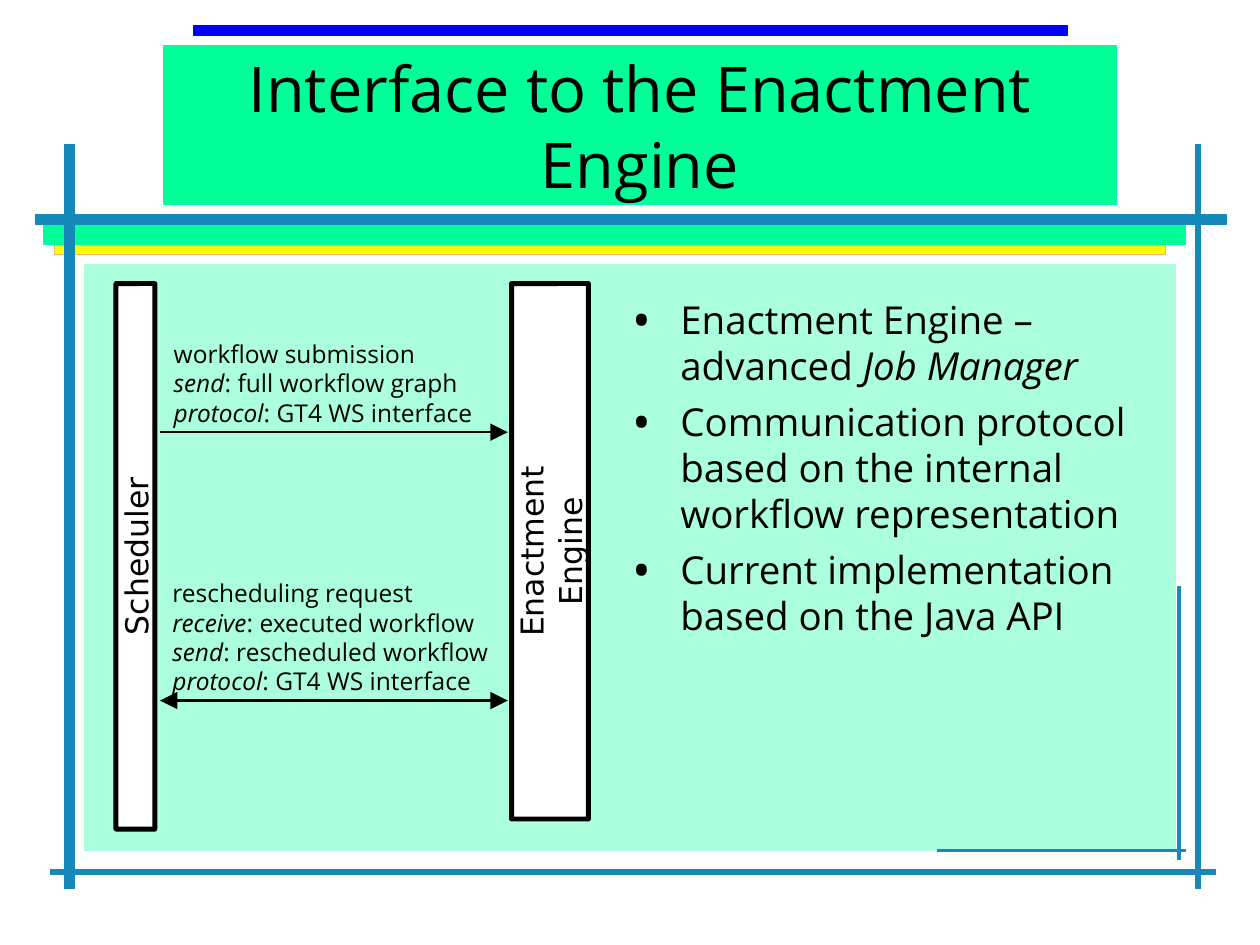
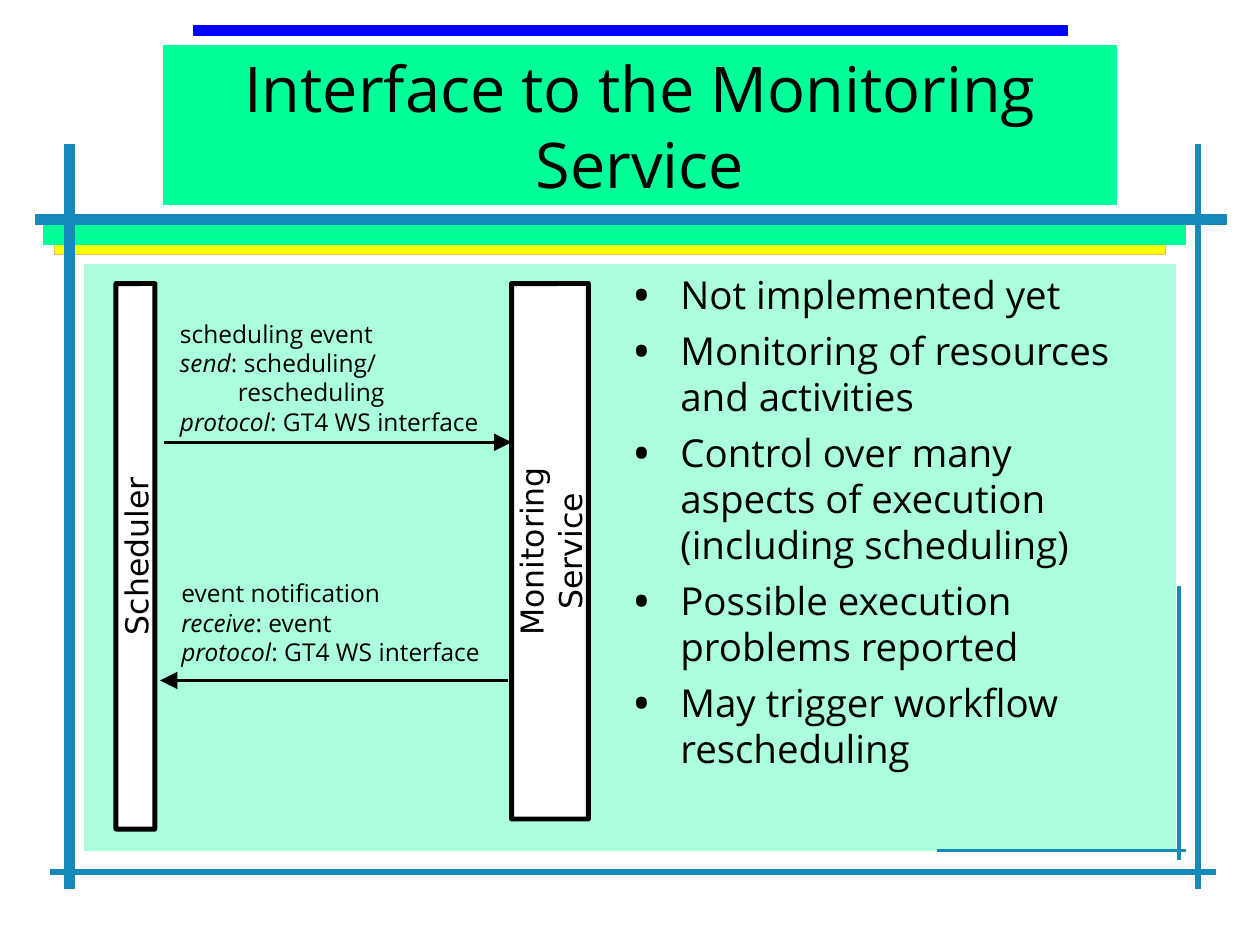
from dataclasses import dataclass

from lxml import etree
from pptx import Presentation
from pptx.dml.color import RGBColor
from pptx.enum.shapes import MSO_CONNECTOR as Connector, MSO_SHAPE as Shape
from pptx.enum.text import MSO_ANCHOR as Anchor, MSO_AUTO_SIZE as AutoSize, PP_ALIGN as Align
from pptx.oxml.ns import qn
from pptx.util import Inches, Pt

COLOURS = {
    "black": "000000", "white": "FFFFFF", "mint": "ABFFDD", "green": "00FF99",
    "yellow": "FFFF00", "amber": "F8B45F", "teal": "1589BA", "blue": "0000FF",
}
TITLE_FONT = {"name": "Open Sans", "size": Pt(36)}
BODY_FONT = {"name": "Open Sans", "size": Pt(22)}
MESSAGE_FONT = {"name": "Open Sans", "size": Pt(14)}
BAR_FONT = {"name": "DejaVu Sans", "size": Pt(18)}


@dataclass
class Box:
    left: float
    top: float
    width: float
    height: float

    def inside(self, left, top, width, height):
        return Box(self.left + left, self.top + top, width, height)

    def lengths(self):
        return [Inches(v) for v in (self.left, self.top, self.width, self.height)]


@dataclass
class Message:
    """An arrow between the two bars with its caption; offsets are from the diagram."""
    arrow_at: tuple
    text_at: tuple
    text_size: tuple
    ends: tuple
    lines: list
    indented: tuple = ()


PAGE = Box(0, 0, 10, 7.5)
TITLE = Box(1.3, 0.37, 7.56, 1.25)
DIAGRAM = Box(0.92, 2.25, 3.75, 4.33)

# Frame parts from back to front: position, fill, line, line width
FRAME = [
    ((0.67, 2.1, 8.66, 4.65), "mint", "mint", 0.75),
    ((1.3, 0.36, 7.56, 1.26), "green", "green", 0.75),
    ((0.43, 1.94, 8.82, 0.08), "yellow", "amber", 0.75),
    ((0.35, 1.78, 9.06, 0.16), "green", "green", 0.75),
    ((0.51, 1.15, 0.08, 5.9), "teal", "teal", 0.75),
    ((0.28, 1.7, 9.45, 0.08), "teal", "teal", 0.75),
    ((1.54, 0.2, 6.93, 0.08), "blue", "blue", 0.75),
    ((0.4, 6.9, 9.25, 0.04), "teal", "teal", 0),
    ((9.49, 1.15, 0.04, 5.9), "teal", "teal", 0),
    ((9.35, 4.66, 0.02, 2.16), "teal", "teal", 0),
    ((7.44, 6.74, 1.97, 0.02), "teal", "teal", 0),
]

PAGES = [
    {
        "title": "Interface to the Enactment Engine",
        "body_box": Box(4.92, 2.3, 4.25, 4.29),
        "bullets": [
            "Enactment Engine – advanced *Job Manager*",
            "Communication protocol based on the internal workflow representation",
            "Current implementation based on the Java API",
        ],
        "service": ["Enactment", "Engine"],
        "messages": [
            Message((0.35, 1.18), (0.36, 0.39), (2.59, 0.8), ("tailEnd",),
                    ["workflow submission", "*send*: full workflow graph",
                     "*protocol*: GT4 WS interface"]),
            Message((0.35, 3.31), (0.35, 2.29), (2.73, 1.04), ("headEnd", "tailEnd"),
                    ["rescheduling request", "*receive*: executed workflow",
                     "*send*: rescheduled workflow", "*protocol*: GT4 WS interface"]),
        ],
    },
    {
        "title": "Interface to the Monitoring Service",
        "body_box": Box(4.92, 2.1, 4.25, 4.6),
        "bullets": [
            "Not implemented yet",
            "Monitoring of resources and activities",
            "Control over many aspects of execution (including scheduling)",
            "Possible execution problems reported",
            "May trigger workflow rescheduling",
        ],
        "service": ["Monitoring", "Service"],
        "messages": [
            Message((0.35, 3.15), (0.42, 2.29), (2.59, 0.8), ("headEnd",),
                    ["event notification", "*receive*: event",
                     "*protocol*: GT4 WS interface"]),
            Message((0.38, 1.26), (0.41, 0.23), (2.59, 1.04), ("tailEnd",),
                    ["scheduling event", "*send*: scheduling/", "rescheduling",
                     "*protocol*: GT4 WS interface"], indented=(2,)),
        ],
    },
]


def colour(name):
    return RGBColor.from_string(COLOURS[name])


def set_all(target, values):
    for name, value in values.items():
        setattr(target, name, value)


def place(shape, box):
    set_all(shape, dict(zip(("left", "top", "width", "height"), box.lengths())))


def write_lines(frame, lines, font, **paragraph_format):
    """Fill a text frame, one paragraph a line; *stars* enclose italics."""
    for number, line in enumerate(lines):
        para = frame.add_paragraph() if number else frame.paragraphs[0]
        set_all(para, paragraph_format)
        for part, text in enumerate(line.split("*")):
            if text:
                span = para.add_run()
                span.text = text
                set_all(span.font, {**font, "italic": part % 2 == 1})
                span.font.color.rgb = colour("black")


def add_block(shapes, kind, box, fill, line, line_width):
    block = shapes.add_shape(kind, *box.lengths())
    block.shadow.inherit = False
    block.fill.solid()
    block.fill.fore_color.rgb = colour(fill)
    block.line.color.rgb = colour(line)
    block.line.width = Pt(line_width)
    return block


def add_frame(page, box):
    for position, fill, line, line_width in FRAME:
        add_block(page.shapes, Shape.RECTANGLE, box.inside(*position), fill, line, line_width)


def take_placeholder(page, index, box):
    """Move a placeholder into its box and in front of the frame."""
    holder = page.placeholders[index]
    place(holder, box)
    page.shapes.element.append(holder.element)
    set_all(holder.text_frame, {"auto_size": AutoSize.NONE, "word_wrap": True})
    return holder.text_frame


def fill_title(page, box, title):
    frame = take_placeholder(page, 0, box)
    frame.vertical_anchor = Anchor.MIDDLE
    write_lines(frame, [title], TITLE_FONT, alignment=Align.CENTER)


def set_bullet(para):
    properties = para._p.get_or_add_pPr()
    properties.set("marL", str(Inches(0.38)))
    properties.set("indent", str(-Inches(0.38)))
    bullet_colour = etree.SubElement(properties, qn("a:buClr"))
    etree.SubElement(bullet_colour, qn("a:srgbClr"), val=COLOURS["black"])
    etree.SubElement(properties, qn("a:buSzPct"), val="130000")
    etree.SubElement(properties, qn("a:buFont"), typeface="Open Sans")
    etree.SubElement(properties, qn("a:buChar"), char="•")


def fill_body(page, box, bullets):
    frame = take_placeholder(page, 1, box)
    write_lines(frame, bullets, BODY_FONT)
    for number, para in enumerate(frame.paragraphs):
        set_bullet(para)
        para.space_before = Pt(5.5 if number else 0)


def add_bar(page, box, lines):
    """Draw an upright bar as a lying one turned a quarter to the left."""
    shift = (box.width - box.height) / 2
    lying = box.inside(shift, -shift, box.height, box.width)
    bar = add_block(page.shapes, Shape.ROUNDED_RECTANGLE, lying, "white", "black", 2.83)
    bar.adjustments[0] = 0.004
    bar.rotation = 270
    margins = dict.fromkeys(("margin_left", "margin_top", "margin_right", "margin_bottom"), 0)
    set_all(bar.text_frame, {**margins, "vertical_anchor": Anchor.MIDDLE, "word_wrap": True})
    write_lines(bar.text_frame, lines, BAR_FONT, alignment=Align.CENTER, line_spacing=1.02)


def add_arrow(shapes, box, ends):
    left, top, width, _ = box.lengths()
    arrow = shapes.add_connector(Connector.STRAIGHT, left, top, left + width, top)
    arrow.line.color.rgb = colour("black")
    arrow.line.width = Pt(1.5)
    for end in ends:
        etree.SubElement(arrow.line._get_or_add_ln(), qn(f"a:{end}"),
                         type="triangle", w="lg", len="lg")
    etree.SubElement(arrow.element.spPr, qn("a:effectLst"))


def add_message(page, box, message):
    group = page.shapes.add_group_shape()
    add_arrow(group.shapes, box.inside(*message.arrow_at, 2.76, 0), message.ends)
    caption = group.shapes.add_textbox(
        *box.inside(*message.text_at, *message.text_size).lengths())
    frame = caption.text_frame
    set_all(frame, {"word_wrap": False, "auto_size": AutoSize.SHAPE_TO_FIT_TEXT})
    write_lines(frame, message.lines, MESSAGE_FONT, alignment=Align.LEFT)
    for number in message.indented:
        frame.paragraphs[number]._p.get_or_add_pPr().set("marL", str(Inches(0.46)))


def add_diagram(page, box, service, messages):
    add_bar(page, box.inside(0, 0, 0.31, box.height), ["Scheduler"])
    add_bar(page, box.inside(box.width - 0.61, 0, 0.61, 4.25), service)
    for message in messages:
        add_message(page, box, message)


def add_page(deck, content):
    page = deck.slides.add_slide(deck.slide_layouts[1])
    add_frame(page, PAGE)
    fill_title(page, TITLE, content["title"])
    fill_body(page, content["body_box"], content["bullets"])
    add_diagram(page, DIAGRAM, content["service"], content["messages"])


def main():
    deck = Presentation()
    deck.slide_width = Inches(PAGE.width)
    deck.slide_height = Inches(PAGE.height)
    for content in PAGES:
        add_page(deck, content)
    deck.save("out.pptx")


if __name__ == "__main__":
    main()
